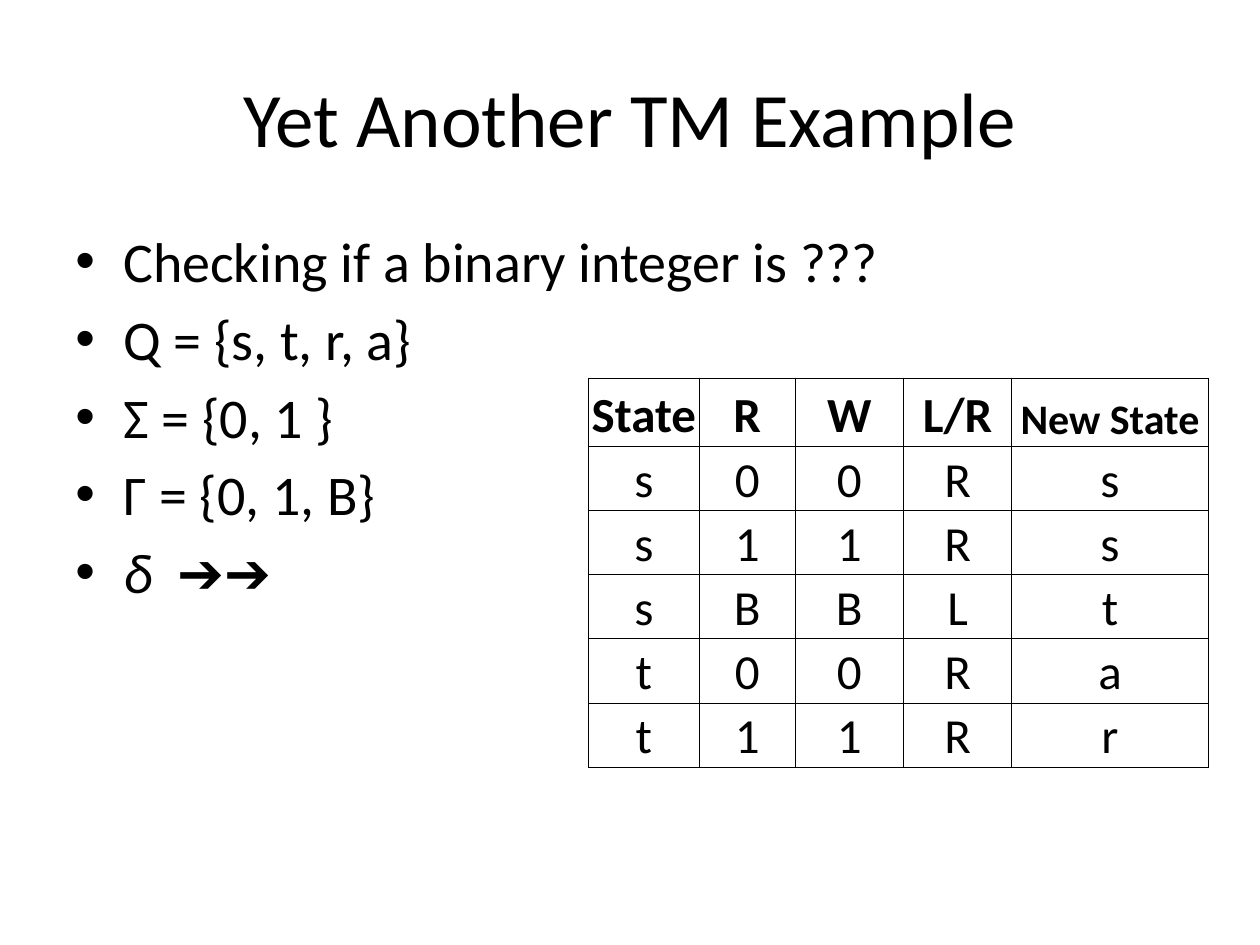
import pptx
import pptx.util
import pptx.dml.color
import pptx.enum.text
from dataclasses import dataclass
from lxml import etree
from pptx.oxml.ns import qn

ALIGN = pptx.enum.text.PP_ALIGN
ANCHOR = pptx.enum.text.MSO_ANCHOR


@dataclass(frozen=True)
class Theme:
    font: str = "Calibri"
    ink: str = "000000"
    title: int = 44
    body: int = 32
    cell: int = 28
    small: int = 24
    rule: float = 0.5
    gap: int = 6
    indent: float = 0.38


def assign(target, values):
    for name, value in values.items():
        setattr(target, name, value)


class Deck:
    """Style and current slide; lengths are cells of a 100 by 75 grid."""

    def __init__(self, theme):
        self.theme = theme
        self.file = pptx.Presentation()
        assign(self.file, {"slide_width": pptx.util.Inches(10),
                           "slide_height": pptx.util.Inches(7.5)})
        self.unit = self.file.slide_width / 100
        self.slide = self.file.slides.add_slide(self.file.slide_layouts[6])

    def span(self, *cells):
        return [round(cell * self.unit) for cell in cells]

    def label(self, para, text, size, **style):
        run = para.add_run()
        run.text = text
        assign(run.font, {"name": self.theme.font, "size": pptx.util.Pt(size), **style})
        run.font.color.rgb = pptx.dml.color.RGBColor.from_string(self.theme.ink)

    def box(self, place, anchor):
        frame = self.slide.shapes.add_textbox(*self.span(*place)).text_frame
        assign(frame, {"word_wrap": True, "vertical_anchor": anchor})
        return frame

    def title(self, text, place):
        para = self.box(place, ANCHOR.MIDDLE).paragraphs[0]
        para.alignment = ALIGN.CENTER
        self.label(para, text, self.theme.title)

    def bullets(self, items, place):
        """Add a bulleted list from pairs of text and italic flag."""
        frame = self.box(place, ANCHOR.TOP)
        indent = pptx.util.Inches(self.theme.indent)
        for index, (text, italic) in enumerate(items):
            para = frame.add_paragraph() if index else frame.paragraphs[0]
            para.space_before = pptx.util.Pt(self.theme.gap)
            props = para._p.get_or_add_pPr()
            props.set("marL", str(indent))
            props.set("indent", str(-indent))
            etree.SubElement(props, qn("a:buFont"), typeface="Arial")
            etree.SubElement(props, qn("a:buChar"), char="•")
            self.label(para, text, self.theme.body, italic=italic)

    def border(self, cell):
        props = cell._tc.get_or_add_tcPr()
        width = str(pptx.util.Pt(self.theme.rule))
        for index, side in enumerate("LRTB"):
            line = etree.Element(qn(f"a:ln{side}"), w=width)
            fill = etree.SubElement(line, qn("a:solidFill"))
            etree.SubElement(fill, qn("a:srgbClr"), val=self.theme.ink)
            props.insert(index, line)

    def table(self, rows, corner, widths, heights):
        place = self.span(*corner, sum(widths), sum(heights))
        grid = self.slide.shapes.add_table(len(rows), len(widths), *place).table
        assign(grid, {"first_row": False, "horz_banding": False})
        for column, width in zip(grid.columns, self.span(*widths)):
            column.width = width
        for row, height in zip(grid.rows, self.span(*heights)):
            row.height = height
        inset = pptx.util.Inches(0.01)
        look = {"vertical_anchor": ANCHOR.BOTTOM, "margin_left": inset,
                "margin_right": inset, "margin_top": inset, "margin_bottom": 0}
        for r, texts in enumerate(rows):
            for c, text in enumerate(texts):
                cell = grid.cell(r, c)
                assign(cell, look)
                cell.fill.background()
                self.border(cell)
                para = cell.text_frame.paragraphs[0]
                para.alignment = ALIGN.CENTER
                size = self.theme.small if text == "New State" else self.theme.cell
                self.label(para, text, size, bold=r == 0)


def main():
    deck = Deck(Theme())
    deck.title("Yet Another TM Example", (5, 3, 90, 12.5))
    deck.bullets([
        ("Checking if a binary integer is ???", False),
        ("Q = {s, t, r, a}", False),
        ("Σ = {0, 1 }", False),
        ("Γ = {0, 1, B}", False),
        ("δ  ➔➔", True),
    ], (5, 17.5, 92.5, 49.5))
    moves = ["s00Rs", "s11Rs", "sBBLt", "t00Ra", "t11Rr"]
    head = ["State", "R", "W", "L/R", "New State"]
    deck.table([head, *moves], (46.7, 30), (8.8, 7.6, 8.6, 8.6, 15.6),
               [5.4] + [5.1] * len(moves))
    deck.file.save("out.pptx")


if __name__ == "__main__":
    main()
